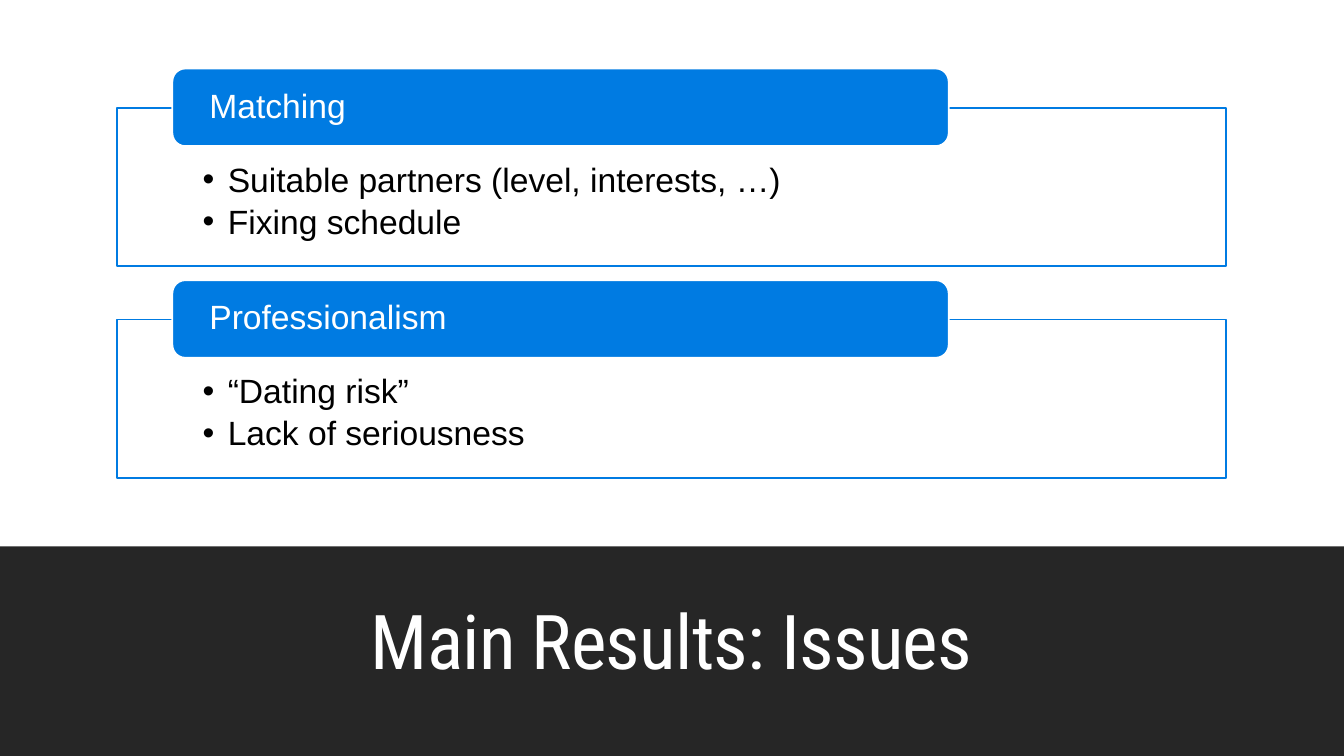
from lxml import etree
from pptx import Presentation
from pptx.dml.color import RGBColor
from pptx.enum.shapes import MSO_SHAPE
from pptx.enum.text import MSO_ANCHOR, PP_ALIGN
from pptx.oxml.ns import qn
from pptx.util import Inches, Pt

RECTANGLE = MSO_SHAPE.RECTANGLE
ROUNDED = MSO_SHAPE.ROUNDED_RECTANGLE
TOP, MIDDLE = MSO_ANCHOR.TOP, MSO_ANCHOR.MIDDLE
LEFT, CENTER = PP_ALIGN.LEFT, PP_ALIGN.CENTER

WHITE, BLACK, DARK, BLUE = "FFFFFF", "000000", "262626", "007BE2"
BODY_FONT, TITLE_FONT = "Arial", "Roboto Condensed"
SLIDE_WIDTH, SLIDE_HEIGHT = 13.33, 7.5
BAND_TOP = 5.42
PANEL_LEFT, PANEL_TOP, PANEL_WIDTH, PANEL_HEIGHT = 1.16, 1.07, 11, 1.57
PANEL_STEP = 2.1
ISSUES = [
    ("Matching", ["Suitable partners (level, interests, …)", "Fixing schedule"]),
    ("Professionalism", ["“Dating risk”", "Lack of seriousness"]),
]


def color(value):
    return RGBColor.from_string(value)


def set_values(target, values):
    for name, value in values.items():
        setattr(target, name, value)


def add_box(slide, kind, box, fill, line=None):
    shape = slide.shapes.add_shape(kind, *map(Inches, box))
    shape.shadow.inherit = False
    shape.fill.solid()
    shape.fill.fore_color.rgb = color(fill)
    if line:
        shape.line.color.rgb = color(line)
        shape.line.width = Pt(1.25)
    else:
        shape.line.fill.background()
    return shape


def add_bullet(paragraph):
    properties = paragraph._p.get_or_add_pPr()
    properties.set("marL", str(Inches(0.25)))
    properties.set("indent", str(Inches(-0.25)))
    font = etree.SubElement(properties, qn("a:buFont"))
    font.set("typeface", BODY_FONT)
    bullet = etree.SubElement(properties, qn("a:buChar"))
    bullet.set("char", "•")


def write_text(shape, lines, insets, anchor, font, text_color,
               alignment=LEFT, bulleted=False):
    frame = shape.text_frame
    left, top, right, bottom = map(Inches, insets)
    set_values(frame, {
        "word_wrap": True, "vertical_anchor": anchor,
        "margin_left": left, "margin_top": top,
        "margin_right": right, "margin_bottom": bottom,
    })
    for index, line in enumerate(lines):
        paragraph = frame.add_paragraph() if index else frame.paragraphs[0]
        set_values(paragraph, {"text": line, "alignment": alignment, "line_spacing": 0.9})
        if bulleted:
            paragraph.space_after = Pt(4)
            add_bullet(paragraph)
        for run in paragraph.runs:
            set_values(run.font, font)
            run.font.color.rgb = color(text_color)


def add_issue(slide, box, heading, points):
    left, top, width, height = box
    body_font = {"name": BODY_FONT, "size": Pt(24)}
    panel = add_box(slide, RECTANGLE, box, WHITE, BLUE)
    write_text(panel, points, (0.85, 0.55, 0.85, 0.19), TOP, body_font, BLACK,
               bulleted=True)
    label_box = (left + 0.55, top - 0.39, width * 0.7, 0.77)
    label = add_box(slide, ROUNDED, label_box, BLUE, WHITE)
    write_text(label, [heading], (0.33, 0, 0.33, 0), MIDDLE, body_font, WHITE)


def add_title_band(slide, box):
    left, top, width, height = box
    add_box(slide, RECTANGLE, box, DARK)
    title_box = (PANEL_LEFT, top + 0.15, PANEL_WIDTH, height - 0.42)
    title = slide.shapes.add_textbox(*map(Inches, title_box))
    title_font = {"name": TITLE_FONT, "size": Pt(54)}
    write_text(title, ["Main Results: Issues"], (0.1, 0.05, 0.1, 0.05), MIDDLE,
               title_font, WHITE, CENTER)
    for run in title.text_frame.paragraphs[0].runs:
        run.font._element.set("spc", "-50")


def main():
    presentation = Presentation()
    presentation.slide_width = Inches(SLIDE_WIDTH)
    presentation.slide_height = Inches(SLIDE_HEIGHT)
    slide = presentation.slides.add_slide(presentation.slide_layouts[6])
    slide.background.fill.solid()
    slide.background.fill.fore_color.rgb = color(WHITE)
    add_title_band(slide, (0, BAND_TOP, SLIDE_WIDTH, SLIDE_HEIGHT - BAND_TOP))
    for index, (heading, points) in enumerate(ISSUES):
        top = PANEL_TOP + index * PANEL_STEP
        add_issue(slide, (PANEL_LEFT, top, PANEL_WIDTH, PANEL_HEIGHT), heading, points)
    presentation.save("out.pptx")


if __name__ == "__main__":
    main()
